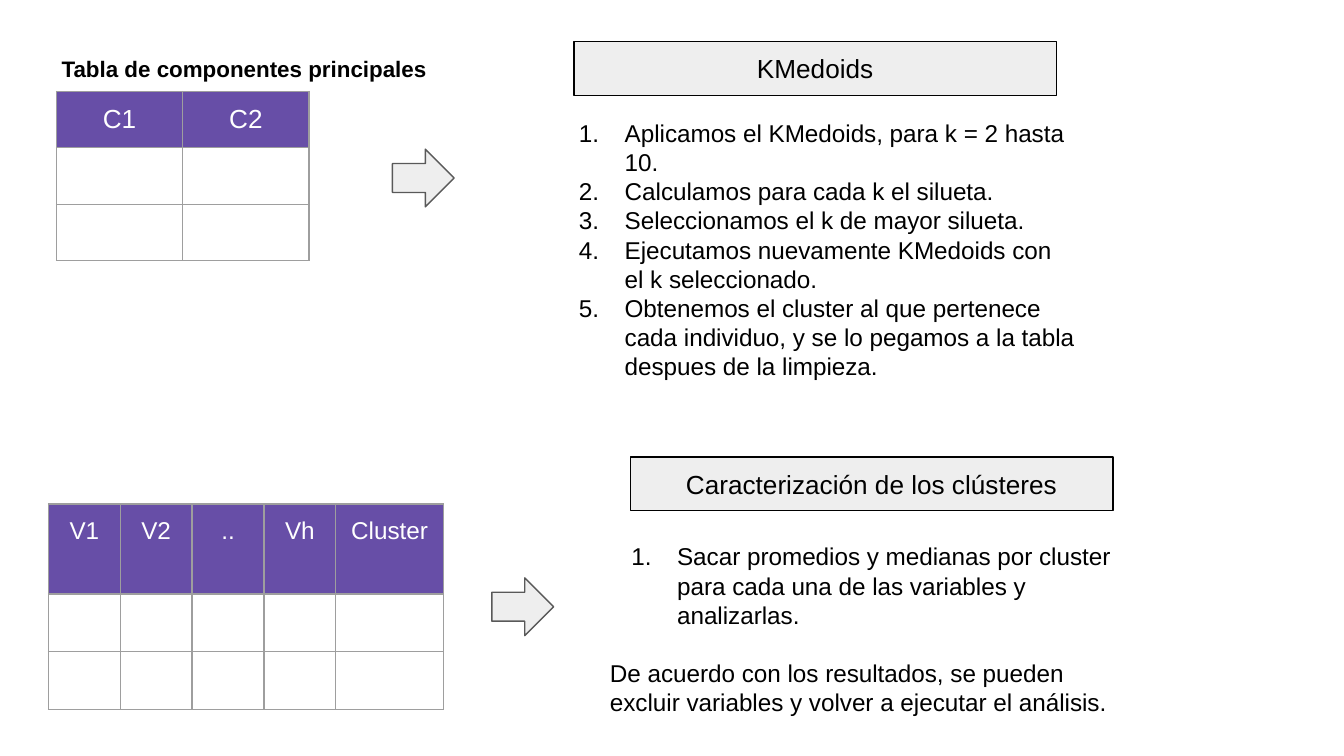
from lxml.etree import SubElement
from pptx import Presentation
from pptx.dml.color import RGBColor
from pptx.enum.shapes import MSO_SHAPE
from pptx.enum.text import MSO_ANCHOR, PP_ALIGN
from pptx.oxml.ns import qn
from pptx.util import Inches, Pt

COLORS = {"purple": "674EA7", "grid": "9E9E9E", "panel": "EEEEEE",
          "edge": "595959", "black": "000000", "white": "FFFFFF"}
MARGINS = {f"margin_{side}": Inches(0.1) for side in ("left", "right", "top", "bottom")}


def color(name):
    """Return the named colour."""
    return RGBColor.from_string(COLORS[name])


def apply(target, values):
    """Set every attribute in values on target."""
    for key, value in values.items():
        setattr(target, key, value)


def write(paragraph, text, size, ink="black", bold=False):
    """Put one formatted run in a paragraph."""
    run = paragraph.add_run()
    run.text = text
    apply(run.font, {"name": "Arial", "size": Pt(size), "bold": bold})
    run.font.color.rgb = color(ink)


def number(paragraph):
    """Turn a paragraph into a numbered step."""
    props = paragraph._p.get_or_add_pPr()
    for key, value in {"marL": Inches(0.5), "indent": Inches(-0.34)}.items():
        props.set(key, str(int(value)))
    ink = SubElement(props, qn("a:buClr"))
    SubElement(ink, qn("a:srgbClr"), val=COLORS["black"])
    SubElement(props, qn("a:buFont"), typeface="Arial")
    SubElement(props, qn("a:buAutoNum"), type="arabicPeriod")


def outline(cell):
    """Draw the four thin grid lines of a cell."""
    props = cell._tc.get_or_add_tcPr()
    for position, side in enumerate(("lnL", "lnR", "lnT", "lnB")):
        line = SubElement(props, qn(f"a:{side}"), w=str(int(Pt(0.75))))
        fill = SubElement(line, qn("a:solidFill"))
        SubElement(fill, qn("a:srgbClr"), val=COLORS["grid"])
        props.insert(position, line)


def component_table(slide, left, top, headings, widths, heights, size):
    """Place a table with a purple heading row and empty body rows."""
    frame = slide.shapes.add_table(len(heights), len(widths), Inches(left), Inches(top),
                                   Inches(sum(widths)), Inches(sum(heights)))
    table = frame.table
    for column, width in zip(table.columns, widths):
        column.width = Inches(width)
    for row, height in zip(table.rows, heights):
        row.height = Inches(height)
    for cell in table.iter_cells():
        cell.fill.background()
        outline(cell)
    for cell, heading in zip(table.rows[0].cells, headings):
        apply(cell, MARGINS)
        cell.fill.solid()
        cell.fill.fore_color.rgb = color("purple")
        paragraph = cell.text_frame.paragraphs[0]
        paragraph.alignment = PP_ALIGN.CENTER
        write(paragraph, heading, size, "white")


def panel(slide, kind, left, top, width, height, edge):
    """Place a light grey shape with a thin edge."""
    shape = slide.shapes.add_shape(kind, Inches(left), Inches(top), Inches(width), Inches(height))
    shape.shadow.inherit = False
    shape.fill.solid()
    shape.fill.fore_color.rgb = color("panel")
    shape.line.color.rgb = color(edge)
    shape.line.width = Pt(0.75)
    return shape


def step_arrow(slide, left, top):
    """Place the arrow from a table to its steps."""
    panel(slide, MSO_SHAPE.RIGHT_ARROW, left, top, 0.46, 0.43, "edge")


def stage_title(slide, left, top, title):
    """Place the framed title of a stage."""
    frame = panel(slide, MSO_SHAPE.RECTANGLE, left, top, 3.59, 0.4, "black").text_frame
    apply(frame, {**MARGINS, "word_wrap": True, "vertical_anchor": MSO_ANCHOR.MIDDLE})
    frame.paragraphs[0].alignment = PP_ALIGN.CENTER
    write(frame.paragraphs[0], title, 14)


def text_area(slide, left, top, width, height):
    """Place an empty wrapping text box and return its frame."""
    frame = slide.shapes.add_textbox(Inches(left), Inches(top),
                                     Inches(width), Inches(height)).text_frame
    apply(frame, {**MARGINS, "word_wrap": True})
    return frame


def stage_steps(slide, left, top, height, steps, conclusion=None):
    """Place numbered steps and an optional closing paragraph."""
    frame = text_area(slide, left, top, 4.04, height)
    for index, step in enumerate(steps):
        paragraph = frame.add_paragraph() if index else frame.paragraphs[0]
        number(paragraph)
        write(paragraph, step, 13)
    if conclusion:
        paragraph = frame.add_paragraph()
        paragraph.space_before = Pt(15.6)
        write(paragraph, conclusion, 13)


def kmedoids_stage(slide, left, top):
    """Place the upper stage, from components to clusters."""
    component_table(slide, left + 0.06, top + 0.37, ["C1", "C2"], [0.94] * 2, [0.42] * 3, 14)
    caption = text_area(slide, left, top, 3.24, 0.4)
    write(caption.paragraphs[0], "Tabla de componentes principales", 12, bold=True)
    step_arrow(slide, left + 2.56, top + 0.8)
    stage_title(slide, left + 3.91, top, "KMedoids")
    stage_steps(slide, left + 3.69, top + 0.47, 2.17, [
        "Aplicamos el KMedoids, para k = 2 hasta 10. ",
        "Calculamos para cada k el silueta.",
        "Seleccionamos el k de mayor silueta.",
        "Ejecutamos nuevamente KMedoids con el k seleccionado.",
        "Obtenemos el cluster al que pertenece cada individuo, y se lo pegamos "
        "a la tabla despues de la limpieza."])


def profile_stage(slide, left, top):
    """Place the lower stage, which describes the clusters."""
    cluster_width = 0.8
    variable_width = (2.94 - cluster_width) / 4
    component_table(slide, left, top + 0.35, ["V1", "V2", "..", "Vh", "Cluster"],
                    [variable_width] * 4 + [cluster_width], [0.67, 0.43, 0.43], 13)
    step_arrow(slide, left + 3.3, top + 0.9)
    stage_title(slide, left + 4.33, top, "Caracterización de los clústeres")
    stage_steps(slide, left + 4.08, top + 0.53, 1.52, [
        "Sacar promedios y medianas por cluster para cada una de las variables y analizarlas."],
        "De acuerdo con los resultados, se pueden excluir variables y volver a ejecutar el análisis.")


deck = Presentation()
apply(deck, {"slide_width": Inches(10), "slide_height": Inches(10) * 9 // 16})
slide = deck.slides.add_slide(deck.slide_layouts[6])
kmedoids_stage(slide, 0.36, 0.31)
profile_stage(slide, 0.36, 3.4)
deck.save("out.pptx")
